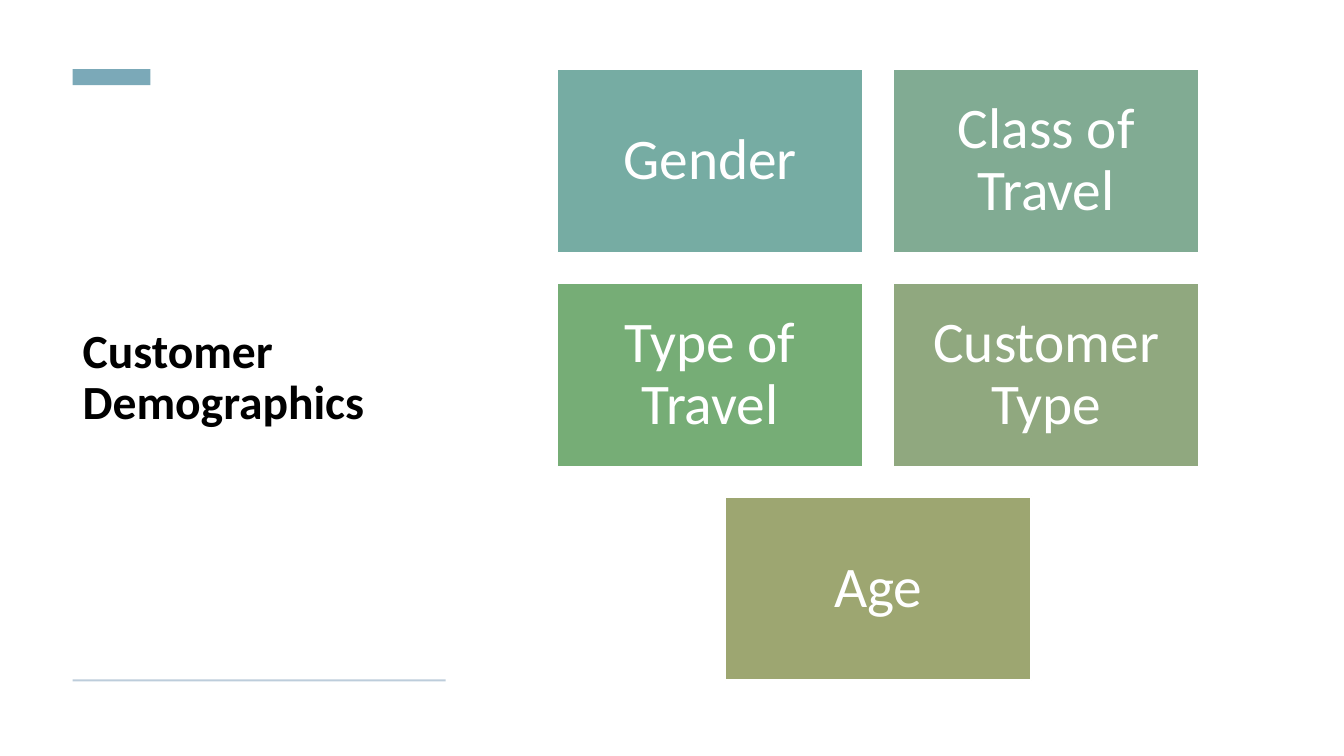
from pptx import Presentation
from pptx.dml.color import RGBColor
from pptx.enum.shapes import MSO_SHAPE
from pptx.enum.text import MSO_ANCHOR, MSO_AUTO_SIZE, PP_ALIGN
from pptx.util import Cm, Pt

RECTANGLE = MSO_SHAPE.RECTANGLE
MIDDLE = MSO_ANCHOR.MIDDLE
NO_AUTOFIT = MSO_AUTO_SIZE.NONE
LEFT, CENTER = PP_ALIGN.LEFT, PP_ALIGN.CENTER
TITLE_ONLY = 5
FONT = "Calibri"
COLORS = {
    "title": "000000",
    "white": "FFFFFF",
    "accent": "7BA9B8",
    "rule": "BDCDDB",
    "gender": "76ACA3",
    "class": "81AB93",
    "travel": "76AD76",
    "customer": "90A87F",
    "age": "9DA671",
}
TILES = [
    ("Gender", "gender"),
    ("Class of Travel", "class"),
    ("Type of Travel", "travel"),
    ("Customer Type", "customer"),
    ("Age", "age"),
]


def color(name):
    return RGBColor.from_string(COLORS[name])


def add_rectangle(slide, left, top, width, height, fill):
    shape = slide.shapes.add_shape(RECTANGLE, Cm(left), Cm(top), Cm(width), Cm(height))
    shape.shadow.inherit = False
    shape.fill.solid()
    shape.fill.fore_color.rgb = color(fill)
    shape.line.fill.background()
    return shape


def write_text(shape, text, size, text_color, alignment, bold=False):
    frame = shape.text_frame
    frame.word_wrap = True
    frame.auto_size = NO_AUTOFIT
    frame.vertical_anchor = MIDDLE
    paragraph = frame.paragraphs[0]
    paragraph.alignment = alignment
    paragraph.line_spacing = 0.9
    run = paragraph.add_run()
    run.text = text
    run.font.name = FONT
    run.font.size = Pt(size)
    run.font.bold = bold
    run.font.color.rgb = color(text_color)


def build_title_panel(slide, left, top, width, height):
    title = slide.shapes.title
    title.left, title.top = Cm(left), Cm(top + 0.93)
    title.width, title.height = Cm(width), Cm(height - 1.69)
    write_text(title, "Customer Demographics", 34, "title", LEFT, bold=True)
    add_rectangle(slide, left, top, 1.96, 0.41, "accent")
    add_rectangle(slide, left, top + height - 0.05, width, 0.05, "rule")


def build_tile_grid(slide, left, top, width, columns=2):
    tile_width = width / (columns + 0.1 * (columns - 1))
    tile_height = 0.6 * tile_width
    gap = 0.1 * tile_width
    for index, (label, fill) in enumerate(TILES):
        row, column = divmod(index, columns)
        row_count = min(columns, len(TILES) - row * columns)
        indent = (columns - row_count) * (tile_width + gap) / 2
        tile = add_rectangle(
            slide,
            left + indent + column * (tile_width + gap),
            top + row * (tile_height + gap),
            tile_width,
            tile_height,
            fill,
        )
        tile.line.color.rgb = color("white")
        tile.line.width = Pt(1)
        frame = tile.text_frame
        frame.margin_left = frame.margin_right = Cm(0.43)
        frame.margin_top = frame.margin_bottom = Cm(0.43)
        write_text(tile, label, 41, "white", CENTER)


def main():
    presentation = Presentation()
    presentation.slide_width = Cm(33.87)
    presentation.slide_height = Cm(19.05)
    slide = presentation.slides.add_slide(presentation.slide_layouts[TITLE_ONLY])
    build_title_panel(slide, 1.83, 1.74, 9.4, 15.43)
    build_tile_grid(slide, 14.05, 1.74, 16.17)
    presentation.save("out.pptx")


if __name__ == "__main__":
    main()
